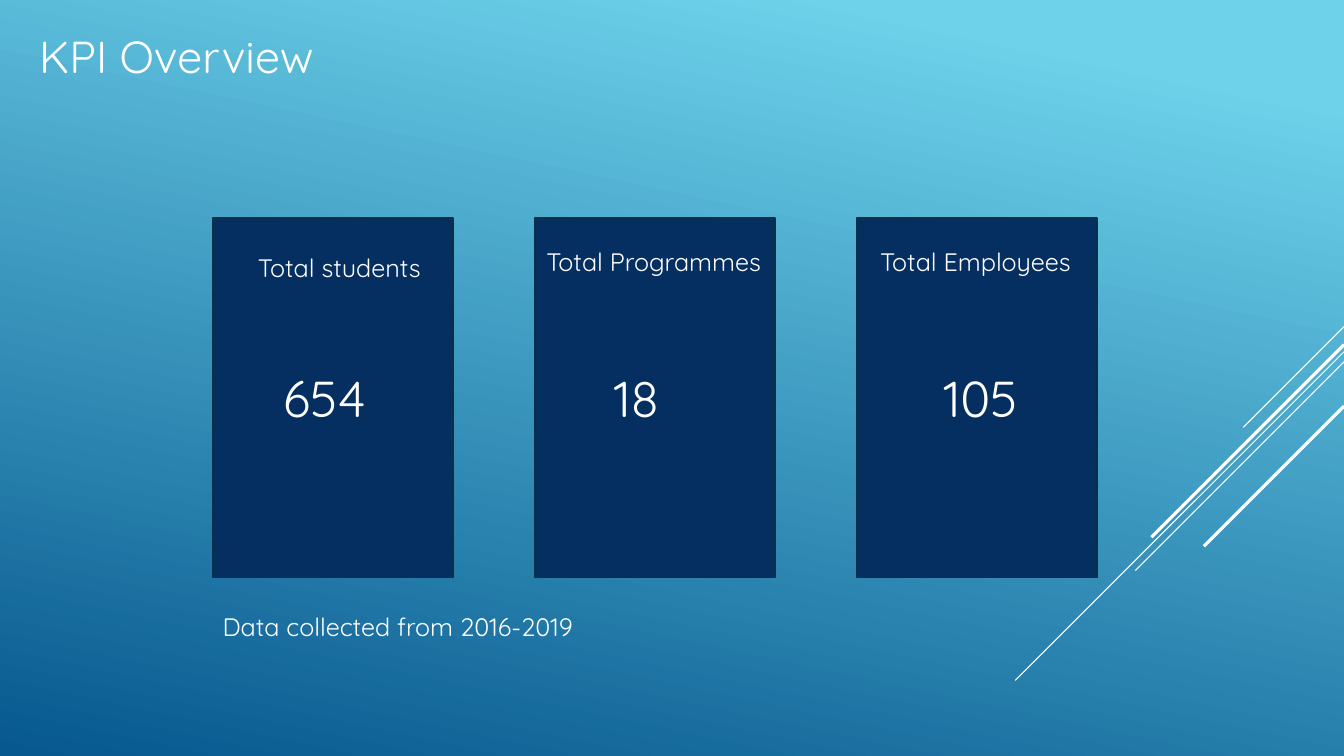
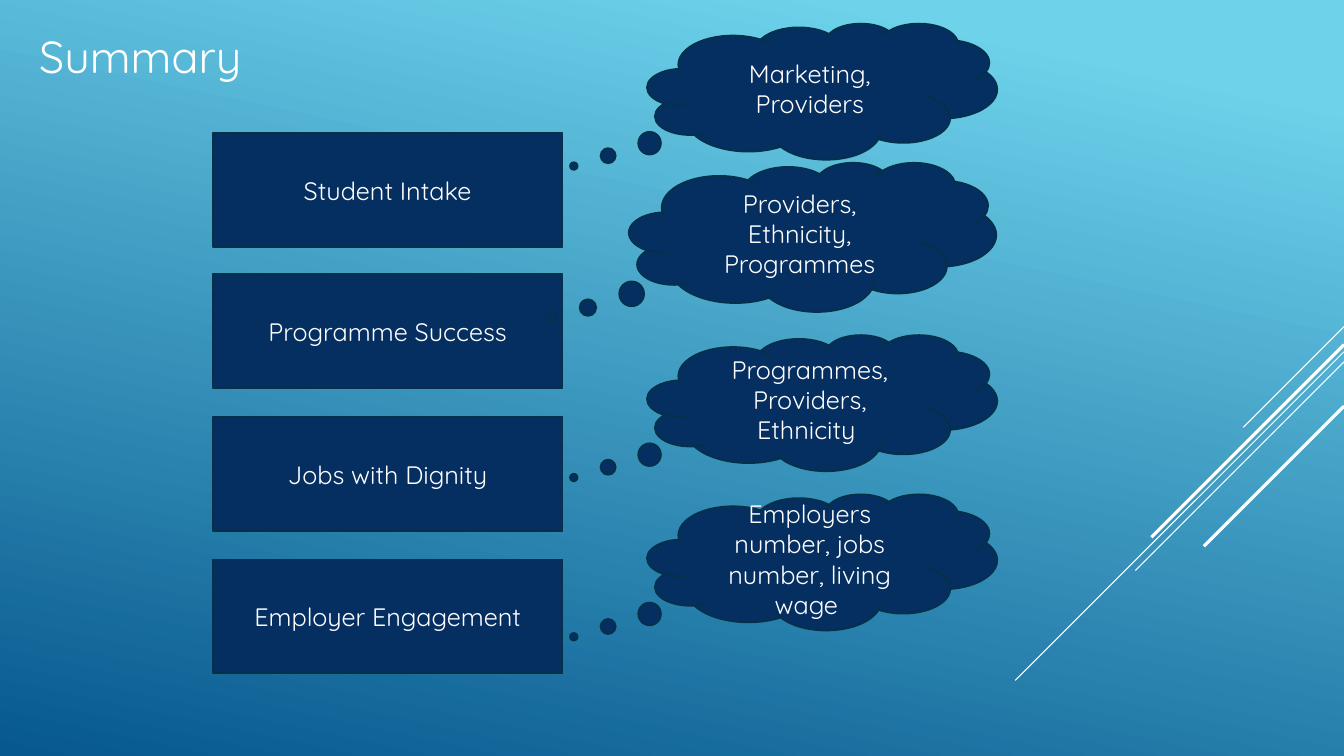
import typing

import lxml.etree
import pptx
import pptx.dml.color
import pptx.enum.shapes
import pptx.enum.text
import pptx.oxml.ns
import pptx.slide
import pptx.text.text
import pptx.util

Inches = pptx.util.Inches
Kind = pptx.enum.shapes.MSO_SHAPE
Align = pptx.enum.text.PP_ALIGN
Anchor = pptx.enum.text.MSO_ANCHOR

# Shared look
WIDE, HIGH = 13.33, 7.5
FONT = "Quicksand"
HUES = {"sky": "6ED2EB", "sea": "06588E", "navy": "052F61",
        "edge": "043148", "white": "FFFFFF"}


class Box(typing.NamedTuple):
    left: float
    top: float
    width: float
    height: float


class Ray(typing.NamedTuple):
    """A diagonal that starts at the right edge and falls to the left."""
    top: float
    run: float
    weight: float


class Card(typing.NamedTuple):
    label: str
    value: str
    label_at: tuple[float, float]
    value_left: float


class Topic(typing.NamedTuple):
    name: str
    top: float
    drivers: str
    cloud: Box


RAYS = [Ray(3.24, 1, 0.75), Ray(3.49, 3.26, 0.75), Ray(3.59, 2.07, 0.75),
        Ray(3.42, 1.91, 2.25), Ray(4.03, 1.39, 2.25)]

CARDS = [Card("Total students", "654", (2.46, 2.45), 2.71),
         Card("Total Programmes", "18", (5.32, 2.39), 5.99),
         Card("Total Employees", "105", (8.63, 2.39), 9.26)]

TOPICS = [
    Topic("Student Intake", 1.32, "Marketing, Providers",
          Box(6.42, 0.23, 3.47, 1.35)),
    Topic("Programme Success", 2.72, "Providers, Ethnicity, Programmes",
          Box(6.24, 1.61, 3.64, 1.48)),
    Topic("Jobs with Dignity", 4.14, "Programmes, Providers, Ethnicity ",
          Box(6.42, 3.32, 3.47, 1.35)),
    Topic("Employer Engagement", 5.55,
          "Employers number, jobs number, living wage ",
          Box(6.42, 4.9, 3.47, 1.35)),
]


def hue(name: str) -> pptx.dml.color.RGBColor:
    return pptx.dml.color.RGBColor.from_string(HUES[name])


def write(frame: pptx.text.text.TextFrame, text: str, *, size: float = 18,
          color: str = "white", align: Align = Align.LEFT,
          anchor: Anchor = Anchor.TOP) -> None:
    frame.word_wrap = True
    frame.vertical_anchor = anchor
    line = frame.paragraphs[0]
    line.alignment = align
    run = line.add_run()
    run.text = text
    run.font.name = FONT
    run.font.size = pptx.util.Pt(size)
    run.font.color.rgb = hue(color)


def label(slide: pptx.slide.Slide, box: Box, text: str,
          size: float = 18) -> None:
    frame = slide.shapes.add_textbox(*map(Inches, box)).text_frame
    write(frame, text, size=size)
    frame.auto_size = pptx.enum.text.MSO_AUTO_SIZE.SHAPE_TO_FIT_TEXT


def panel(slide: pptx.slide.Slide, box: Box, text: str = "",
          kind: Kind = Kind.RECTANGLE, tail: tuple[float, ...] = ()) -> None:
    shape = slide.shapes.add_shape(kind, *map(Inches, box))
    shape.shadow.inherit = False
    shape.fill.solid()
    shape.fill.fore_color.rgb = hue("navy")
    shape.line.color.rgb = hue("edge")
    shape.line.width = pptx.util.Pt(1.25)
    for spot, value in enumerate(tail):
        shape.adjustments[spot] = value
    if text:
        write(shape.text_frame, text, align=Align.CENTER,
              anchor=Anchor.MIDDLE)


def streak(slide: pptx.slide.Slide, ray: Ray) -> None:
    ends = (WIDE, ray.top, WIDE - ray.run, ray.top + ray.run)
    link = slide.shapes.add_connector(
        pptx.enum.shapes.MSO_CONNECTOR.STRAIGHT, *map(Inches, ends))
    link.line.color.rgb = hue("white")
    link.line.width = pptx.util.Pt(ray.weight)
    lxml.etree.SubElement(link._element.spPr,
                          pptx.oxml.ns.qn("a:effectLst"))


def start(deck: pptx.presentation.Presentation,
          title: str) -> pptx.slide.Slide:
    slide = deck.slides.add_slide(deck.slide_layouts[6])
    fill = slide.background.fill
    fill.gradient()
    fill.gradient_angle = 360 - 102
    for stop, place, name in zip(fill.gradient_stops, (0.1, 1),
                                 ("sky", "sea")):
        stop.position = place
        stop.color.rgb = hue(name)
    for ray in RAYS:
        streak(slide, ray)
    label(slide, Box(0.29, 0.24, 11.75, 0.64), title, size=32)
    return slide


def show_kpis(deck: pptx.presentation.Presentation) -> None:
    slide = start(deck, "KPI Overview")
    for spot, card in enumerate(CARDS):
        panel(slide, Box(2.11 + 3.195 * spot, 2.16, 2.38, 3.57))
        label(slide, Box(*card.label_at, 2.51, 0.4), card.label)
        label(slide, Box(card.value_left, 3.59, 1.17, 0.71), card.value,
              size=36)
    label(slide, Box(2.11, 6.02, 8.95, 0.4), "Data collected from 2016-2019")


def show_topics(deck: pptx.presentation.Presentation) -> None:
    slide = start(deck, "Summary")
    for topic in TOPICS:
        panel(slide, Box(2.11, topic.top, 3.47, 1.13), topic.name)
        panel(slide, topic.cloud, topic.drivers, Kind.CLOUD_CALLOUT,
              (-0.71, 0.55))


# Build the deck
deck = pptx.Presentation()
deck.slide_width, deck.slide_height = Inches(WIDE), Inches(HIGH)
show_kpis(deck)
show_topics(deck)
deck.save("out.pptx")
